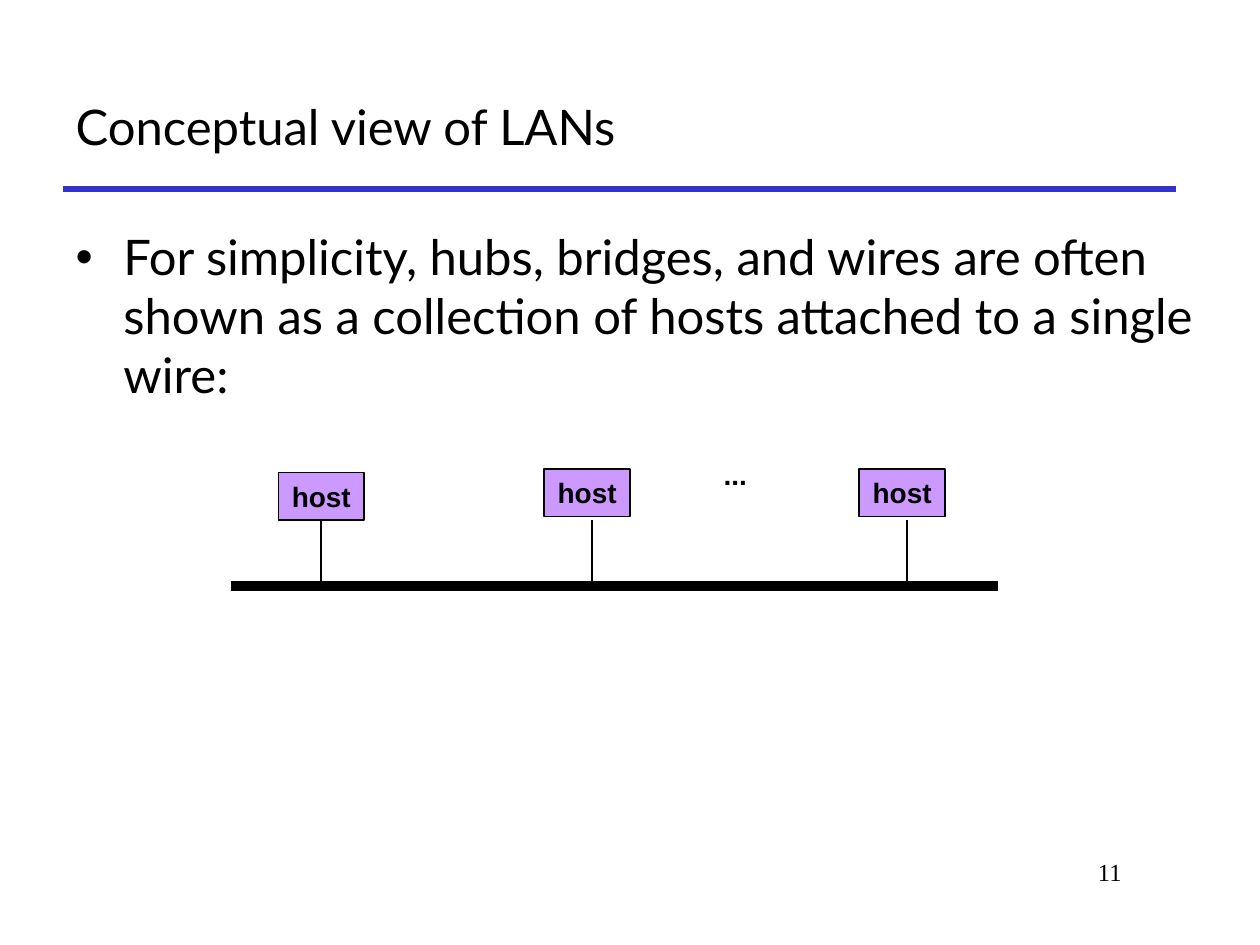
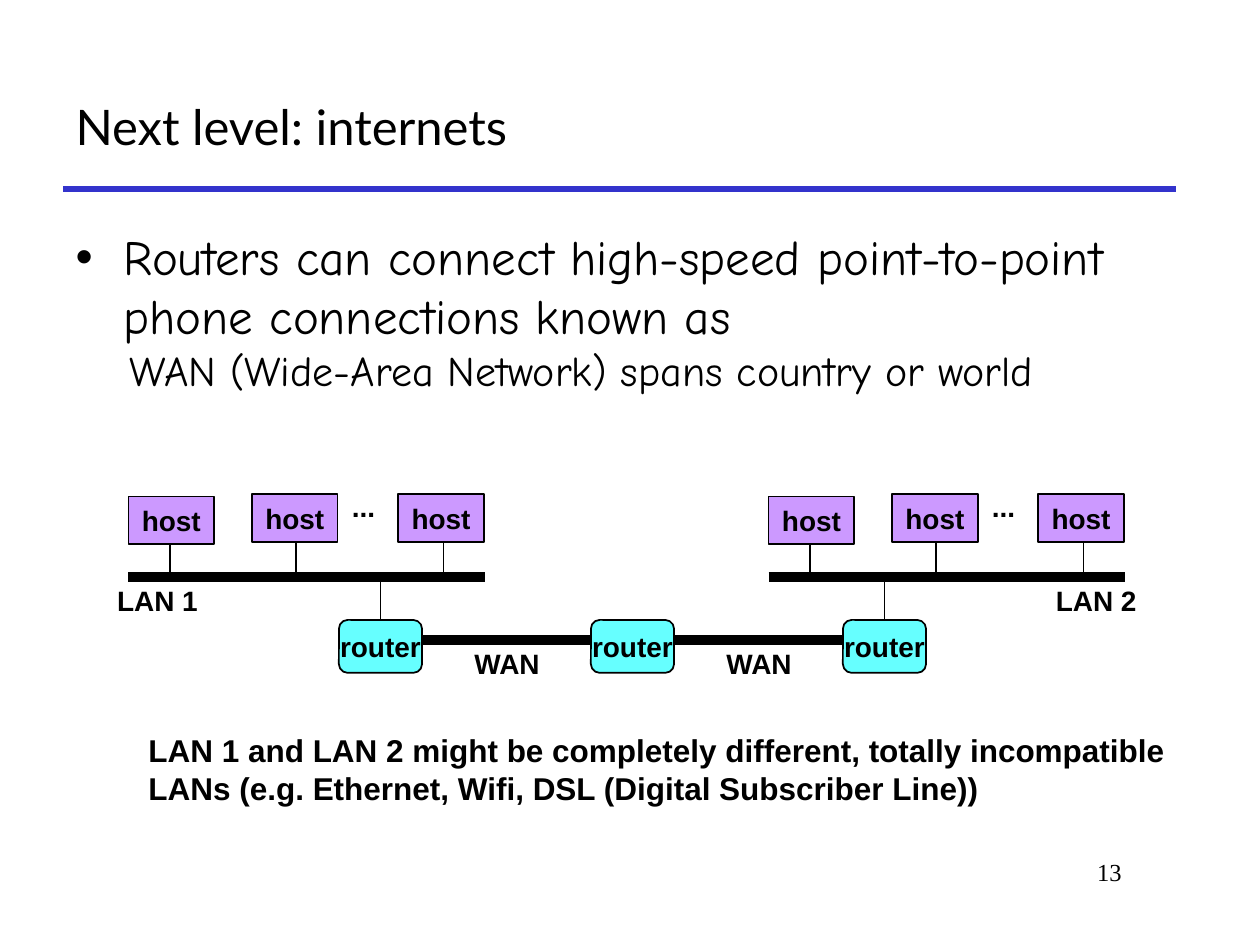
from dataclasses import dataclass

from lxml import etree
from pptx import Presentation
from pptx.dml.color import RGBColor
from pptx.enum.shapes import MSO_CONNECTOR, MSO_SHAPE
from pptx.enum.text import MSO_ANCHOR as Anchor, MSO_AUTO_SIZE as AutoSize, PP_ALIGN as Align
from pptx.oxml.ns import qn
from pptx.util import Inches, Pt


@dataclass(frozen=True)
class Theme:
    ink: str = "000000"
    rule: str = "3333CC"
    host: str = "CC99FF"
    router: str = "66FFFF"
    heading_font: str = "Lato"
    casual_font: str = "Comic Neue"
    label_font: str = "Arial"
    number_font: str = "Times New Roman"
    heading_size: int = 28
    detail_size: int = 24
    caption_size: int = 18
    label_size: int = 16
    number_size: int = 14
    thin: float = 1
    rule_width: float = 3
    cable: float = 6


THEME = Theme()
HOST_WIDTH, HOST_HEIGHT = 0.68, 0.38
ROUTER_TOP, ROUTER_WIDTH, ROUTER_HEIGHT = 4.92, 0.66, 0.42
LABEL_HEIGHT = 0.37
LAN_Y, WAN_Y = 4.58, 5.08


# Text
def write(paragraph, text, font=THEME.label_font, size=THEME.label_size,
          bold=False, align=Align.LEFT):
    paragraph.text = text
    paragraph.alignment = align
    paragraph.space_before = Pt(0)
    paragraph.font.name = font
    paragraph.font.size = Pt(size)
    paragraph.font.bold = bold
    paragraph.font.color.rgb = RGBColor.from_string(THEME.ink)


def place(shape, left, top, width, height):
    shape.left, shape.top = Inches(left), Inches(top)
    shape.width, shape.height = Inches(width), Inches(height)


def add_text(slide, text, left, top, width, height, wrap=False, anchor=Anchor.TOP, **style):
    box = slide.shapes.add_textbox(Inches(left), Inches(top), Inches(width), Inches(height))
    box.text_frame.word_wrap = wrap
    box.text_frame.vertical_anchor = anchor
    write(box.text_frame.paragraphs[0], text, **style)


def add_label(slide, text, left, top, width):
    add_text(slide, text, left, top, width, LABEL_HEIGHT, anchor=Anchor.MIDDLE,
             bold=True, align=Align.CENTER)


# Lines and nodes
def add_line(slide, start, end, color=THEME.ink, width=THEME.thin):
    points = [Inches(value) for value in (*start, *end)]
    line = slide.shapes.add_connector(MSO_CONNECTOR.STRAIGHT, *points)
    line.line.color.rgb = RGBColor.from_string(color)
    line.line.width = Pt(width)
    etree.SubElement(line._element.spPr, qn("a:effectLst"))
    return line


def add_node(slide, preset, text, left, top, width, height, fill):
    node = slide.shapes.add_shape(preset, Inches(left), Inches(top), Inches(width), Inches(height))
    node.shadow.inherit = False
    node.fill.solid()
    node.fill.fore_color.rgb = RGBColor.from_string(fill)
    node.line.color.rgb = RGBColor.from_string(THEME.ink)
    node.line.width = Pt(THEME.thin)
    node.text_frame.word_wrap = False
    node.text_frame.vertical_anchor = Anchor.MIDDLE
    write(node.text_frame.paragraphs[0], text, bold=True, align=Align.CENTER)
    return node


def add_host(slide, left, top):
    return add_node(slide, MSO_SHAPE.RECTANGLE, "host", left, top,
                    HOST_WIDTH, HOST_HEIGHT, THEME.host)


def add_router(slide, left):
    return add_node(slide, MSO_SHAPE.ROUNDED_RECTANGLE, "router", left, ROUTER_TOP,
                    ROUTER_WIDTH, ROUTER_HEIGHT, THEME.router)


def add_bus(slide, left, right, y, drop_top, drops):
    """Draw a shared cable and the thin drops that reach it."""
    add_line(slide, (left, y), (right, y), width=THEME.cable)
    return [add_line(slide, (x, drop_top), (x, y)) for x in drops]


def add_lan(slide, left, name, name_left):
    drops = [left + offset for offset in (0.33, 1.33, 2.5)]
    add_bus(slide, left, left + 2.83, LAN_Y, 4.25, drops)
    for offset, top in ((0, 3.94), (0.98, 3.92), (2.14, 3.92)):
        add_host(slide, left + offset, top)
    add_label(slide, name, name_left, LAN_Y, 0.84)
    add_label(slide, "...", left + 1.67, 3.83, 0.39)


# Slide frame: title, rule, body list and number
def add_slide(presentation, title, number, items, body_height, font):
    slide = presentation.slides.add_slide(presentation.slide_layouts[1])
    add_line(slide, (0.5, 1.5), (9.33, 1.5), THEME.rule, THEME.rule_width)
    add_text(slide, number, 7.58, 6.75, 1.42, 0.5, wrap=True, font=THEME.number_font,
             size=THEME.number_size, align=Align.RIGHT)

    heading = slide.shapes.title
    place(heading, 0.5, 0.5, 8.83, 1)
    heading.text_frame.auto_size = AutoSize.NONE
    heading.text_frame.vertical_anchor = Anchor.MIDDLE
    write(heading.text_frame.paragraphs[0], title, THEME.heading_font, THEME.heading_size)

    body = slide.placeholders[1]
    place(body, 0.5, 1.75, 9.08, body_height)
    frame = body.text_frame
    frame.auto_size = AutoSize.NONE
    for level, text in enumerate(items):
        paragraph = frame.add_paragraph() if level else frame.paragraphs[0]
        paragraph.level = level
        properties = paragraph._p.get_or_add_pPr()
        properties.set("marL", str(Inches((0.38, 0.81)[level])))
        properties.set("indent", str(Inches(-0.38)))
        if level:
            etree.SubElement(properties, qn("a:buNone"))
        write(paragraph, text, font, (THEME.heading_size, THEME.detail_size)[level])
    return slide


def build_lan_view(presentation):
    slide = add_slide(
        presentation, "Conceptual view of LANs", "11",
        ["For simplicity, hubs, bridges, and wires are often shown as a collection "
         "of hosts attached to a single wire:"],
        1.67, THEME.heading_font)
    drops = add_bus(slide, 1.83, 7.92, 4.65, 4.13, (2.55, 4.7, 7.2))
    hosts = [add_host(slide, left, top)
             for left, top in ((2.21, 3.75), (4.32, 3.72), (6.82, 3.72))]
    drops[0].begin_connect(hosts[0], 2)
    add_label(slide, "...", 5.64, 3.58, 0.39)


def build_internets(presentation):
    slide = add_slide(
        presentation, "Next level: internets", "13",
        ["Routers can connect high-speed point-to-point phone connections known as",
         "WAN (Wide-Area Network) spans country or world"],
        1.8, THEME.casual_font)
    add_lan(slide, 1.02, "LAN 1", 0.83)
    add_lan(slide, 6.1, "LAN 2", 8.28)

    # Routers, with the outer two joined to the LANs
    router_lefts = [2.69 + 2 * index for index in range(3)]
    routers = [add_router(slide, left) for left in router_lefts]
    for router, left in zip(routers[::2], router_lefts[::2]):
        center = left + ROUTER_WIDTH / 2
        drop = add_line(slide, (center, LAN_Y), (center, ROUTER_TOP))
        drop.end_connect(router, 0)

    # WAN links between neighbouring routers
    for left, right in zip(router_lefts, router_lefts[1:]):
        add_line(slide, (left + ROUTER_WIDTH, WAN_Y), (right, WAN_Y), width=THEME.cable)
        add_label(slide, "WAN", left + 0.97, WAN_Y, 0.73)

    add_text(slide,
             "LAN 1 and LAN 2 might be completely different, totally incompatible LANs "
             "(e.g. Ethernet, Wifi, DSL (Digital Subscriber Line))",
             1.08, 5.75, 8.33, 0.71, wrap=True, size=THEME.caption_size, bold=True)


def main():
    presentation = Presentation()
    presentation.slide_width, presentation.slide_height = Inches(10), Inches(7.5)
    build_lan_view(presentation)
    build_internets(presentation)
    presentation.save("out.pptx")


if __name__ == "__main__":
    main()
